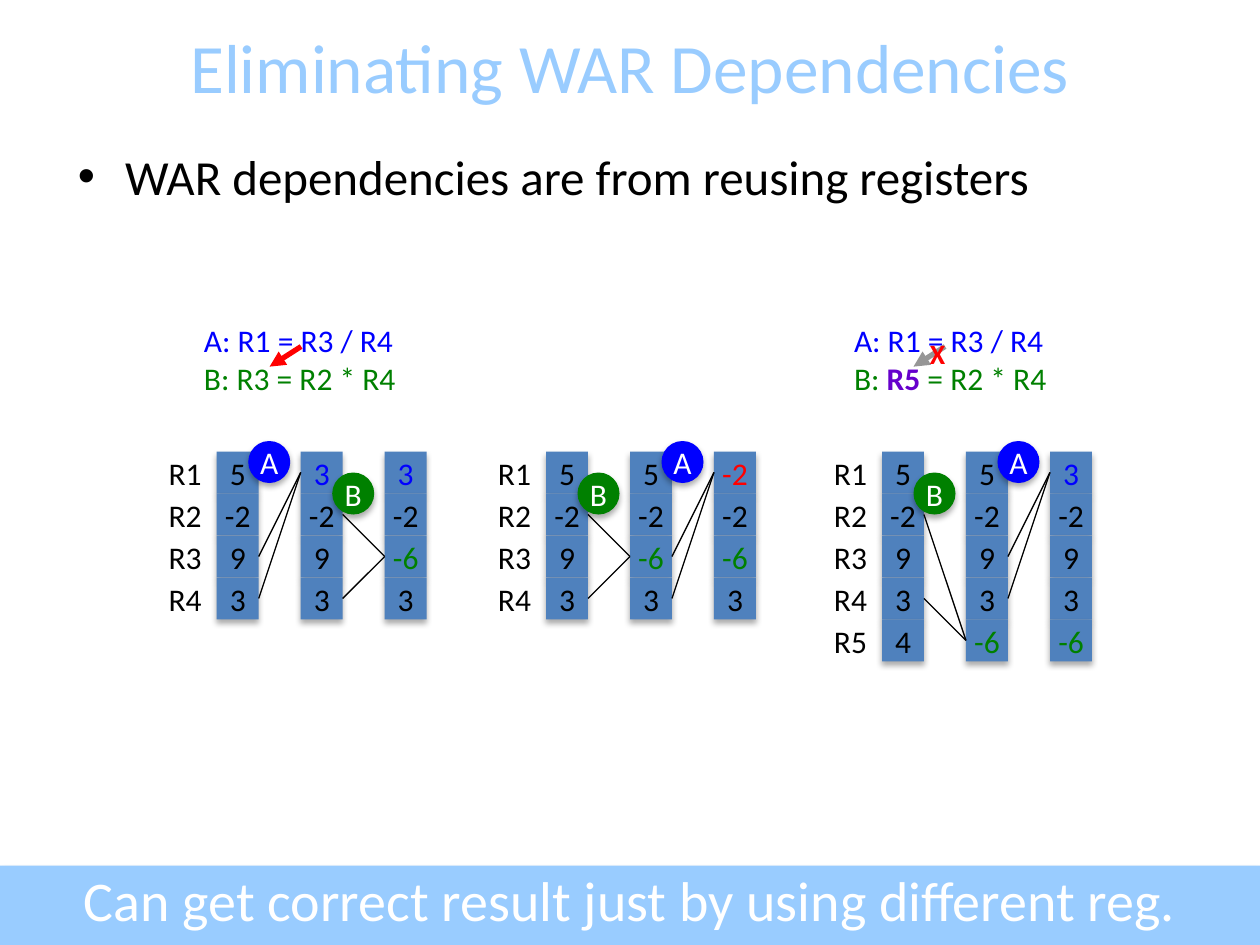
"""Build the slide on removing write-after-read dependencies."""
from dataclasses import dataclass

import lxml.etree
import pptx
import pptx.dml.color
import pptx.enum.shapes
import pptx.enum.text
import pptx.oxml.ns
import pptx.util

RGBColor = pptx.dml.color.RGBColor
Align = pptx.enum.text.PP_ALIGN
Anchor = pptx.enum.text.MSO_ANCHOR
Preset = pptx.enum.shapes.MSO_SHAPE

BLACK = RGBColor(0x00, 0x00, 0x00)
WHITE = RGBColor(0xFF, 0xFF, 0xFF)
SKY = RGBColor(0x99, 0xCC, 0xFF)
STEEL = RGBColor(0x4F, 0x81, 0xBD)
BLUE = RGBColor(0x00, 0x00, 0xFF)
GREEN = RGBColor(0x00, 0x80, 0x00)
RED = RGBColor(0xFF, 0x00, 0x00)
PURPLE = RGBColor(0x66, 0x00, 0xCC)
GREY = RGBColor(0x96, 0x96, 0x96)

FONT = "Calibri"
COLUMNS = 30
CELL = 10 / COLUMNS
TOP_ROW = 10.75
STATE_STEP = 2
LABEL_COLUMNS = 1.5
BADGE_SHIFT = 0.75


@dataclass
class Run:
    """A piece of text with its colour and weight."""
    text: str
    color: RGBColor = BLACK
    bold: bool = False


@dataclass
class Step:
    """An instruction that reads source rows and writes a target row."""
    name: str
    sources: tuple[int, ...]
    target: int
    color: RGBColor
    rise: float


@dataclass
class Panel:
    """Register states, one tuple per column, and the steps between them."""
    left: float
    states: list[tuple[int, ...]]
    steps: list[Step]
    highlights: dict[tuple[int, int], RGBColor]


@dataclass
class Program:
    """A two-line listing with its dependency arrow."""
    left: float
    width: float
    lines: list[list[Run]]
    arrow_left: float
    arrow_color: RGBColor


def step_a(target: int = 0) -> Step:
    """Return instruction A, which divides R3 by R4."""
    return Step("A", (2, 3), target, BLUE, -0.25)


def step_b(target: int = 2) -> Step:
    """Return instruction B, which multiplies R2 by R4."""
    return Step("B", (1, 3), target, GREEN, 0.5)


PANELS = [
    Panel(5.16, [(5, -2, 9, 3), (3, -2, 9, 3), (3, -2, -6, 3)], [step_a(), step_b()],
          {(1, 0): BLUE, (2, 0): BLUE, (2, 2): GREEN}),
    Panel(13, [(5, -2, 9, 3), (5, -2, -6, 3), (-2, -2, -6, 3)], [step_b(), step_a()],
          {(1, 2): GREEN, (2, 0): RED, (2, 2): GREEN}),
    Panel(21, [(5, -2, 9, 3, 4), (5, -2, 9, 3, -6), (3, -2, 9, 3, -6)],
          [step_b(4), step_a()], {(1, 4): GREEN, (2, 0): BLUE, (2, 4): GREEN}),
]
LINE_A = [Run("A: R1 = R3 / R4", BLUE)]
PROGRAMS = [
    Program(1.52, 1.81, [LINE_A, [Run("B: R3 = R2 * R4", GREEN)]], 2.14, RED),
    Program(6.68, 1.84, [LINE_A, [Run("B: ", GREEN), Run("R5", PURPLE, True),
                                  Run(" = R2 * R4", GREEN)]], 7.25, GREY),
]


def inches(*values: float) -> list[int]:
    """Convert lengths in inches."""
    return [pptx.util.Inches(value) for value in values]


def write_text(shape, lines: list[list[Run]], *, size: float = 18, align=Align.CENTER,
               anchor=Anchor.MIDDLE, wrap: bool = False, margins: bool = False):
    """Write formatted lines into a shape and return its text frame."""
    frame = shape.text_frame
    frame.word_wrap = wrap
    frame.vertical_anchor = anchor
    horizontal, vertical = inches(0.1, 0.05) if margins else (0, 0)
    frame.margin_left = frame.margin_right = horizontal
    frame.margin_top = frame.margin_bottom = vertical
    for index, line in enumerate(lines):
        paragraph = frame.add_paragraph() if index else frame.paragraphs[0]
        paragraph.alignment = align
        for piece in line:
            run = paragraph.add_run()
            run.text = piece.text
            run.font.name = FONT
            run.font.size = pptx.util.Pt(size)
            run.font.bold = piece.bold
            run.font.color.rgb = piece.color
    return frame


def add_element(parent, tag: str, **attributes: str):
    """Append an XML element with attributes."""
    return lxml.etree.SubElement(parent, pptx.oxml.ns.qn(tag), attributes)


def add_box(slide, preset, place: list[int], color: RGBColor):
    """Add a filled preset shape with a soft shadow below it."""
    shape = slide.shapes.add_shape(preset, *place)
    shape.fill.solid()
    shape.fill.fore_color.rgb = color
    shape.line.fill.background()
    shape.shadow.inherit = False
    effects = shape.element.spPr.find(pptx.oxml.ns.qn("a:effectLst"))
    shadow = add_element(effects, "a:outerShdw", blurRad="44450", dist="27940",
                         dir="5400000", algn="ctr", rotWithShape="0")
    add_element(add_element(shadow, "a:srgbClr", val="000000"), "a:alpha", val="32000")
    return shape


def add_line(slide, points: list[int], color: RGBColor = BLACK, width: float = 0.75,
             arrow: bool = False):
    """Add a straight connector, with an arrowhead if asked."""
    line = slide.shapes.add_connector(pptx.enum.shapes.MSO_CONNECTOR.STRAIGHT, *points)
    line.line.color.rgb = color
    line.line.width = pptx.util.Pt(width)
    if arrow:
        add_element(line.line._get_or_add_ln(), "a:tailEnd", type="triangle")
    add_element(line.element.spPr, "a:effectLst")
    return line


def grid(column: float, row: float, columns: float = 1) -> list[int]:
    """Return the place of a one-row block on the grid."""
    return inches(column * CELL, (TOP_ROW + row) * CELL, columns * CELL, CELL)


def draw_panel(slide, panel: Panel) -> None:
    """Draw register labels, state columns, links and instruction badges."""
    for row in range(len(panel.states[0])):
        place = grid(panel.left - LABEL_COLUMNS, row, LABEL_COLUMNS)
        write_text(slide.shapes.add_textbox(*place), [[Run(f"R{row + 1}")]])
    cells = {}
    for state, values in enumerate(panel.states):
        for row, value in enumerate(values):
            place = grid(panel.left + state * STATE_STEP, row)
            cells[state, row] = add_box(slide, Preset.RECTANGLE, place, STEEL)
            color = panel.highlights.get((state, row), BLACK)
            write_text(cells[state, row], [[Run(str(value), color)]])
    for state, step in enumerate(panel.steps):
        for source in step.sources:
            link = add_line(slide, [0, 0, 0, 0])
            link.begin_connect(cells[state, source], 3)
            link.end_connect(cells[state + 1, step.target], 1)
        place = grid(panel.left + state * STATE_STEP + BADGE_SHIFT, step.rise)
        badge = add_box(slide, Preset.OVAL, place, step.color)
        write_text(badge, [[Run(step.name, WHITE)]])


def draw_program(slide, program: Program) -> None:
    """Draw a listing and the arrow between its lines."""
    box = slide.shapes.add_textbox(*inches(program.left, 2.5, program.width, 0.71))
    write_text(box, program.lines, align=Align.LEFT, anchor=Anchor.TOP, margins=True)
    left = program.arrow_left
    add_line(slide, inches(left + 0.25, 2.75, left, 2.91), program.arrow_color, 3, True)


def main() -> None:
    """Build and save the slide."""
    presentation = pptx.Presentation()
    presentation.slide_width, presentation.slide_height = inches(10, 7.5)
    slide = presentation.slides.add_slide(presentation.slide_layouts[5])
    title = slide.shapes.title
    title.left, title.top, title.width, title.height = inches(0, 0.21, 10, 0.63)
    write_text(title, [[Run("Eliminating WAR Dependencies", SKY)]], size=39.6, wrap=True)
    add_box(slide, Preset.RECTANGLE, inches(0, 6.87, 10, 0.63), SKY)

    body = slide.shapes.add_textbox(*inches(0.52, 1.11, 9, 5.56))
    frame = write_text(body, [[Run("WAR dependencies are from reusing registers")]], size=28,
                       align=Align.LEFT, anchor=Anchor.TOP, wrap=True, margins=True)
    frame.paragraphs[0].space_before = pptx.util.Pt(5.6)
    properties = frame.paragraphs[0]._p.get_or_add_pPr()
    properties.set("marL", "342900")
    properties.set("indent", "-342900")
    add_element(properties, "a:buFont", typeface="Arial")
    add_element(properties, "a:buChar", char="•")

    for program in PROGRAMS:
        draw_program(slide, program)
    cross = slide.shapes.add_textbox(*inches(7.25, 2.62, 0.38, 0.37))
    write_text(cross, [[Run("X", RED, True)]], size=16, anchor=Anchor.TOP, margins=True)
    for panel in PANELS:
        draw_panel(slide, panel)
    footer = slide.shapes.add_textbox(*inches(0, 6.82, 10, 0.63))
    write_text(footer, [[Run("Can get correct result just by using different reg.", WHITE)]],
               size=32, anchor=Anchor.TOP, wrap=True, margins=True)
    presentation.save("out.pptx")


if __name__ == "__main__":
    main()
